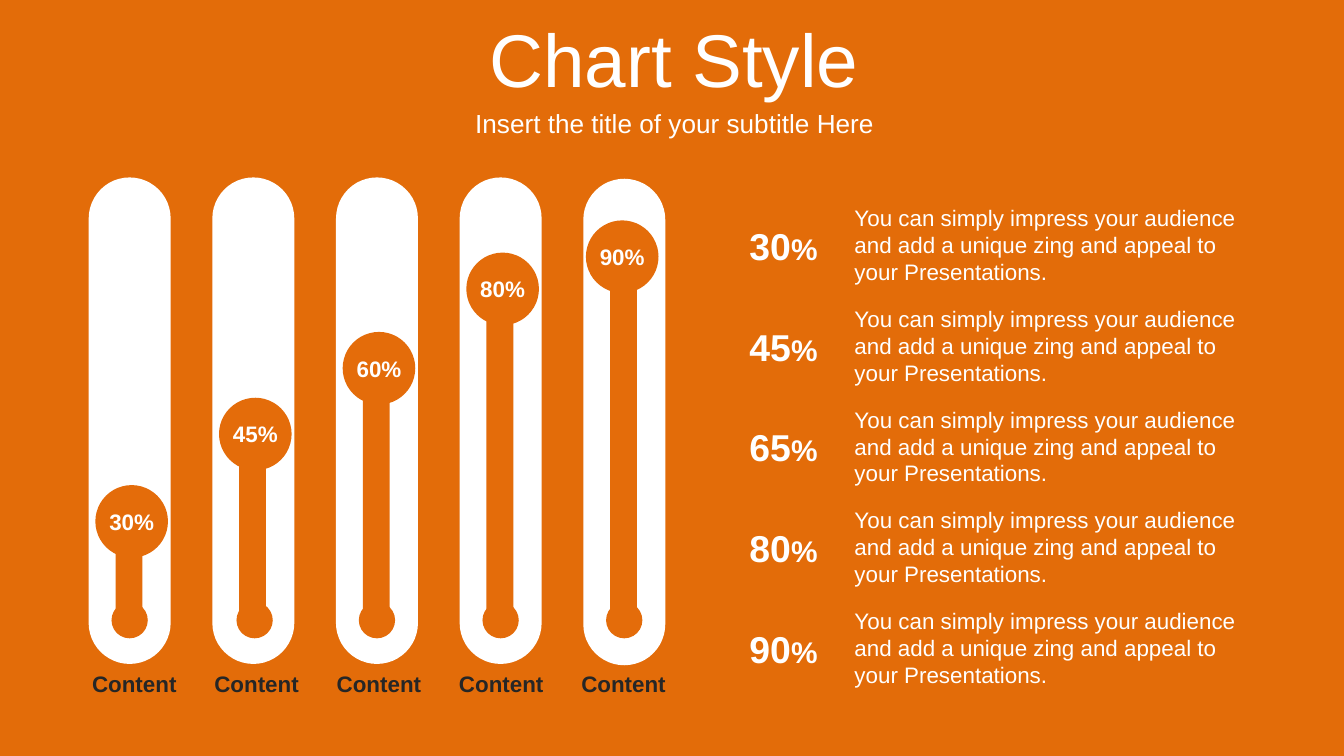
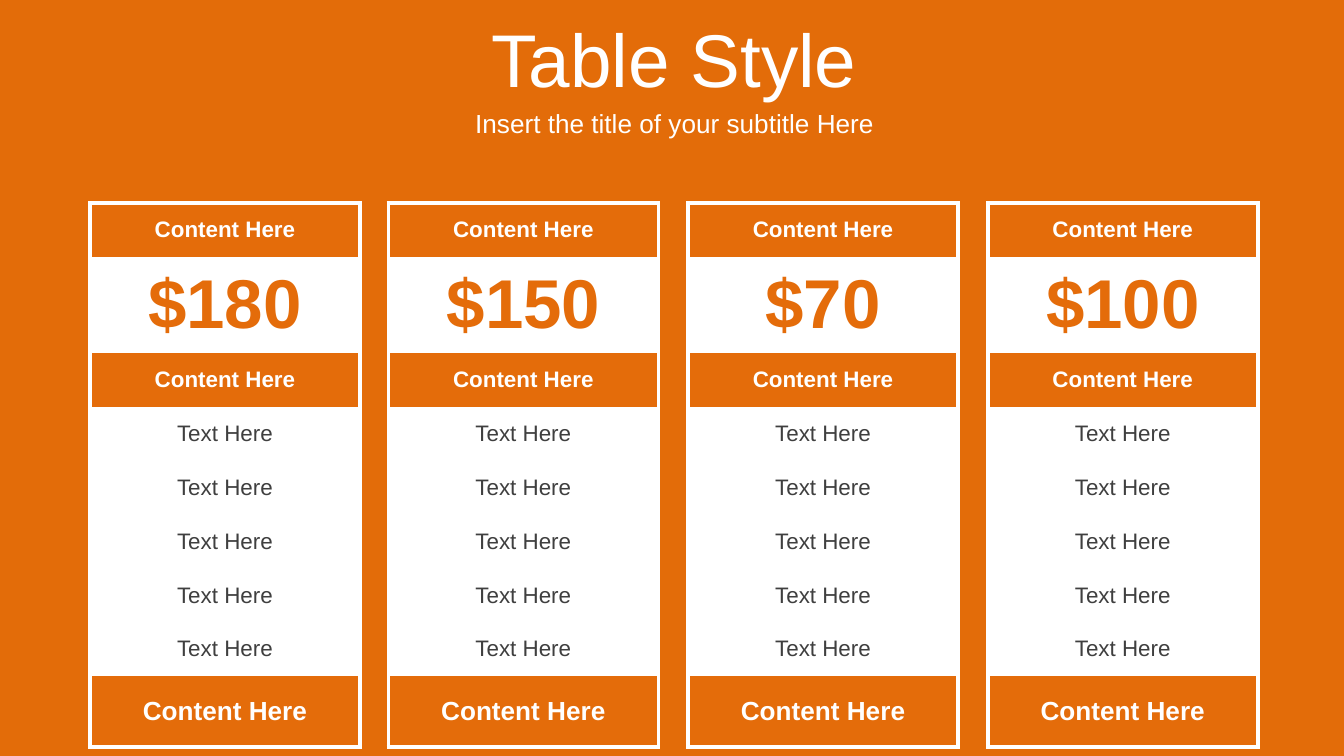
import pptx
import pptx.util
import pptx.dml.color
import pptx.enum.shapes
import pptx.enum.text
import pptx.oxml
import pptx.oxml.ns

PX = 9144  # EMU in one px, 100 px to the inch
WHITE, ORANGE, BACK = "FFFFFF", "E46C0A", "E36C09"
DARK, GREY = "262626", "3F3F3F"
FACE = "Arial"

rgb = pptx.dml.color.RGBColor.from_string
Kind = pptx.enum.shapes.MSO_SHAPE
Align = pptx.enum.text.PP_ALIGN
MIDDLE = pptx.enum.text.MSO_ANCHOR.MIDDLE
SPACE = pptx.oxml.ns.nsdecls("a")


def write(frame, text, size, hue, bold=False, align=Align.CENTER):
    para = frame.paragraphs[0]
    if text:
        para.text = text
    para.alignment = align
    para.font.name = FACE
    para.font.size = pptx.util.Pt(size)
    para.font.bold = bold
    para.font.color.rgb = rgb(hue)
    return para


def add(slide, kind, left, top, width, height, hue=None):
    """Add a filled shape, or a wrapping text box when kind is None."""
    area = [n * PX for n in (left, top, width, height)]
    if kind is None:
        item = slide.shapes.add_textbox(*area)
        item.text_frame.word_wrap = True
        return item
    item = slide.shapes.add_shape(kind, *area)
    item.shadow.inherit = False
    item.fill.solid()
    item.fill.fore_color.rgb = rgb(hue)
    item.line.fill.background()
    return item


deck = pptx.Presentation()
deck.slide_width = 1000 * PX
deck.slide_height = deck.slide_width * 9 // 16

# Shared background
fill = deck.slide_master.background.fill
fill.solid()
fill.fore_color.rgb = rgb(BACK)

# Both slides with title and subtitle
slides = []
for name in ("Chart Style", "Table Style"):
    slide = deck.slides.add_slide(deck.slide_layouts[5])
    title = slide.shapes.title
    title.left, title.top, title.width, title.height = 3 * PX, 13 * PX, 997 * PX, 60 * PX
    write(title.text_frame, name, 40, WHITE)
    sub = add(slide, None, 5, 76, 994, 31)
    write(sub.text_frame, "Insert the title of your subtitle Here", 14, WHITE)
    for item in (title, sub):
        frame = item.text_frame
        frame.vertical_anchor = MIDDLE
        frame.margin_left = frame.margin_right = 10 * PX
        frame.margin_top = frame.margin_bottom = 10 * PX
    slides.append(slide)
chart, prices = slides

# Slide 1: gauges, as value, tube top, ball left, ball top, stem top, bulb left
gauges = [
    ("30%", 132, 71, 361, 407, 83),
    ("45%", 132, 163, 296, 344, 176),
    ("60%", 132, 255, 247, 291, 267),
    ("80%", 132, 347, 188, 239, 359),
    ("90%", 133, 436, 164, 205, 451),
]
for i, (value, tube, ball, top, stem, bulb) in enumerate(gauges):
    add(chart, Kind.ROUNDED_RECTANGLE, 66 + 92 * i, tube, 61, 362, WHITE).adjustments[0] = 0.5
    add(chart, Kind.RECTANGLE, 86 + 92 * i, stem, 20, 461 - stem, ORANGE)
    add(chart, Kind.OVAL, ball, top, 54, 54, ORANGE)
    add(chart, Kind.OVAL, bulb, 448, 27, 27, ORANGE)
    mark = add(chart, None, ball - 1, top + 12, 56, 30)
    write(mark.text_frame, value, 12, WHITE, True)
    label = add(chart, None, 57 + 91 * i, 494, 86, 30)
    write(label.text_frame, "Content", 12, DARK, True)
    for item in (mark, label):
        item.text_frame.vertical_anchor = MIDDLE

# Slide 1: notes beside the gauges
for i, value in enumerate(("30", "45", "65", "80", "90")):
    share = add(chart, None, 540, 161 + 75 * i, 86, 44)
    para = write(share.text_frame, value, 20, WHITE, True)
    sign = para.add_run()
    sign.text = "%"
    sign.font.size = pptx.util.Pt(16)
    note = add(chart, None, 626, 147 + 75 * i, 310, 71)
    write(note.text_frame, "You can simply impress your audience and add a unique zing "
          "and appeal to your Presentations.", 12, WHITE, align=Align.LEFT)

# Slide 2: price tables, rows as height, text, size, text colour, bold, fill
line = (34, "Text Here", 12, GREY, False, WHITE)
widths = (23, 153, 23)
for i, price in enumerate(("$180", "$150", "$70", "$100")):
    rows = [
        (37, "Content Here", 12, WHITE, True, ORANGE),
        (68, price, 37, ORANGE, True, WHITE),
        (34, "Content Here", 12, WHITE, True, ORANGE),
        *[line] * 5,
        (53, "Content Here", 14, WHITE, True, ORANGE),
    ]
    last = len(rows) - 1
    left = 67 + 668 * i // 3
    board = prices.shapes.add_table(len(rows), 3, left * PX, 151 * PX, 328 * PX, 328 * PX)
    grid = board.table
    grid.first_row = grid.horz_banding = False
    for col, width in zip(grid.columns, widths):
        col.width = width * PX
    grid.cell(last, 0).merge(grid.cell(last, 2))
    for r, (height, text, size, hue, bold, back) in enumerate(rows):
        grid.rows[r].height = height * PX
        for c in range(3):
            cell = grid.cell(r, c)
            cell.vertical_anchor = MIDDLE
            full = c == (0 if r == last else 1)
            # The side cells keep a taller empty line, which sets the row height
            tall = size if full else 18
            para = write(cell.text_frame, text if full else "", tall, hue, bold)
            para._p.append(pptx.oxml.parse_xml(
                f'<a:endParaRPr {SPACE} sz="{tall * 100}"><a:latin typeface="{FACE}"/>'
                '</a:endParaRPr>'))
            # White outline around the table, no lines inside
            wide = cell.is_merge_origin
            edges = {"lnL": c == 0, "lnR": c == 2 or wide, "lnT": r == 0, "lnB": r == last}
            props = cell._tc.get_or_add_tcPr()
            for tag, shown in edges.items():
                paint = (f'<a:solidFill><a:srgbClr val="{WHITE}"/></a:solidFill>'
                         if shown else "<a:noFill/>")
                props.append(pptx.oxml.parse_xml(
                    f'<a:{tag} {SPACE} w="28575">{paint}</a:{tag}>'))
            cell.fill.solid()
            cell.fill.fore_color.rgb = rgb(back)
    # Setting row heights resizes the frame, so its size is set last
    board.width = board.height = 328 * PX

deck.save("out.pptx")
